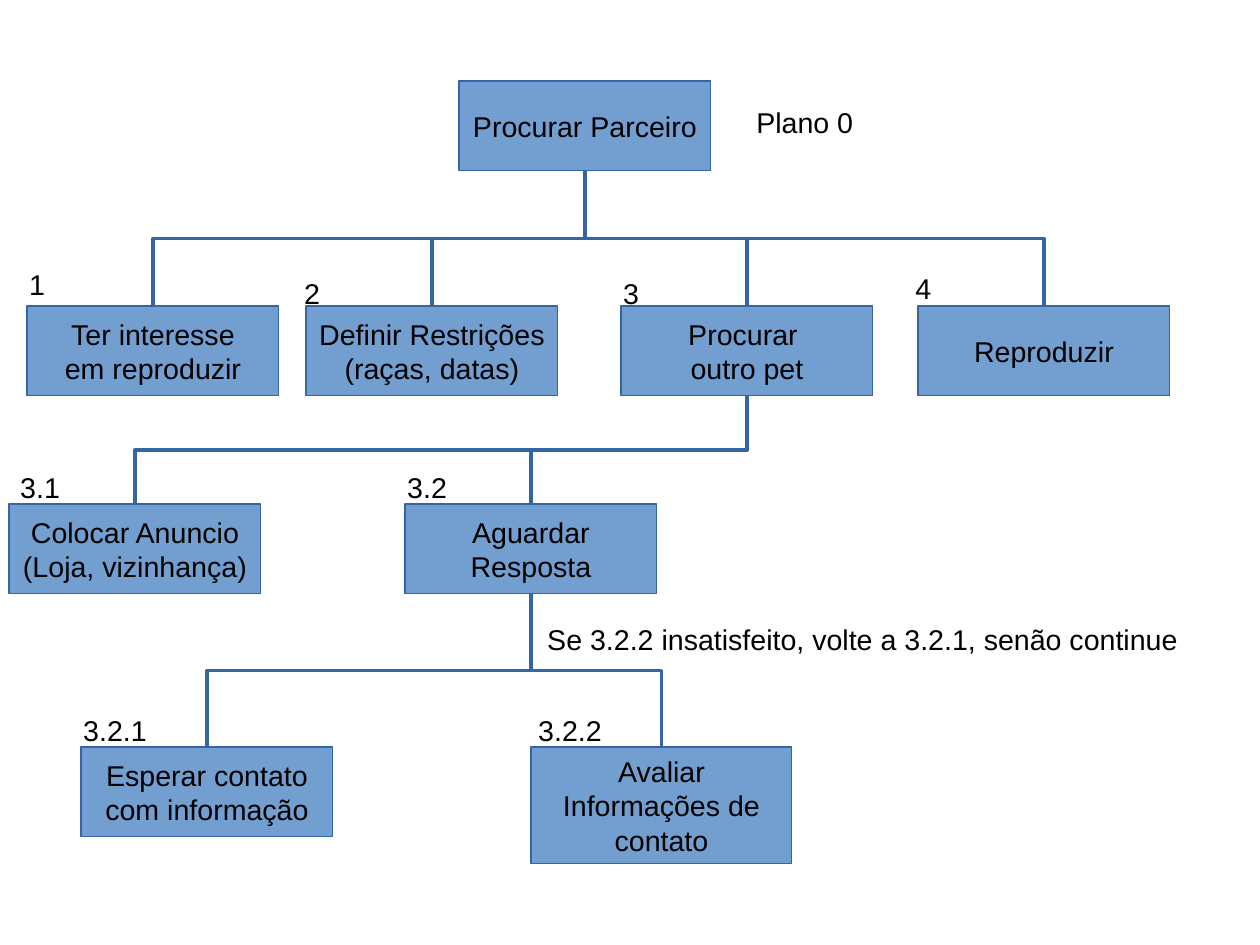
"""Build the task tree for finding a pet partner."""
from lxml import etree
from pptx import Presentation
from pptx.dml.color import RGBColor
from pptx.enum.shapes import MSO_CONNECTOR, MSO_SHAPE
from pptx.enum.text import MSO_ANCHOR, MSO_AUTO_SIZE, PP_ALIGN
from pptx.oxml.ns import qn
from pptx.util import Pt

PX = 8000
RECT, ELBOW = MSO_SHAPE.RECTANGLE, MSO_CONNECTOR.ELBOW
LEFT, CENTER = PP_ALIGN.LEFT, PP_ALIGN.CENTER
TOP, MIDDLE = MSO_ANCHOR.TOP, MSO_ANCHOR.MIDDLE
GROW, FIXED = MSO_AUTO_SIZE.SHAPE_TO_FIT_TEXT, MSO_AUTO_SIZE.NONE
COLORS = {"fill": "729FCF", "line": "3465A4", "text": "000000"}


def color(name):
    return RGBColor.from_string(COLORS[name])


def write(shape, text, align=LEFT, anchor=TOP, wrap=False, fit=FIXED, size=18):
    frame = shape.text_frame
    frame.word_wrap = wrap
    frame.auto_size = fit
    frame.vertical_anchor = anchor
    for i, line in enumerate(text.split("\n")):
        para = frame.add_paragraph() if i else frame.paragraphs[0]
        para.alignment = align
        run = para.add_run()
        run.text = line
        run.font.name = "Arial"
        run.font.size = Pt(size)
        run.font.color.rgb = color("text")


deck = Presentation()
deck.slide_width, deck.slide_height = 1260 * PX, 945 * PX
slide = deck.slides.add_slide(deck.slide_layouts[6])
shapes = slide.shapes

TASKS = {
    "0": (459, 81, 252, 90, "Procurar Parceiro"),
    "1": (27, 306, 252, 90, "Ter interesse\nem reproduzir"),
    "2": (306, 306, 252, 90, "Definir Restrições\n(raças, datas)"),
    "3": (621, 306, 252, 90, "Procurar \noutro pet"),
    "4": (918, 306, 252, 90, "Reproduzir"),
    "3.1": (9, 504, 252, 90, "Colocar Anuncio\n(Loja, vizinhança)"),
    "3.2": (405, 504, 252, 90, "Aguardar\nResposta"),
    "3.2.1": (81, 747, 252, 90, "Esperar contato\ncom informação"),
    "3.2.2": (531, 747, 261, 117, "Avaliar\nInformações de\ncontato"),
}
boxes = {}
for key, (x, y, w, h, text) in TASKS.items():
    box = shapes.add_shape(RECT, x * PX, y * PX, w * PX, h * PX)
    box.shadow.inherit = False
    box.fill.solid()
    box.fill.fore_color.rgb = color("fill")
    box.line.color.rgb = color("line")
    box.line.width = 0
    write(box, text, align=CENTER, anchor=MIDDLE)
    boxes[key] = box

TREE = {"0": ["1", "2", "3", "4"], "3": ["3.1", "3.2"], "3.2": ["3.2.1", "3.2.2"]}
for head, kids in TREE.items():
    for kid in kids:
        start, end = boxes[head], boxes[kid]
        x1, y1 = start.left + start.width // 2, start.top + start.height
        x2, y2 = end.left + end.width // 2, end.top
        link = shapes.add_connector(ELBOW, x1, y1, x2, y2)
        link.begin_connect(start, 2)
        link.end_connect(end, 0)
        link.width, link.height = y2 - y1, abs(x2 - x1)
        link.left = (x1 + x2 - link.width) // 2
        link.top = (y1 + y2 - link.height) // 2
        right = x2 > x1
        form = link.element.spPr.find(qn("a:xfrm"))
        form.set("rot", "16200000" if right else "5400000")
        form.set("flipH", "1" if right else "0")
        form.set("flipV", "0")
        link.line.color.rgb = color("line")
        link.line.width = 0
        etree.SubElement(link.element.spPr, qn("a:effectLst"))

LABELS = [
    (745, 99, 120, 43, False, "Plano 0"),
    (18, 261, 39, 43, False, "1"),
    (293, 270, 39, 43, True, "2"),
    (612, 270, 39, 43, False, "3"),
    (904, 265, 39, 43, False, "4"),
    (9, 464, 63, 43, False, "3.1"),
    (396, 464, 63, 43, False, "3.2"),
    (72, 707, 117, 45, True, "3.2.1"),
    (527, 707, 90, 45, True, "3.2.2"),
    (536, 616, 654, 43, False, "Se 3.2.2 insatisfeito, volte a 3.2.1, senão continue"),
]
for x, y, w, h, wrap, text in LABELS:
    label = shapes.add_textbox(x * PX, y * PX, w * PX, h * PX)
    write(label, text, wrap=wrap, fit=GROW)

deck.save("out.pptx")
